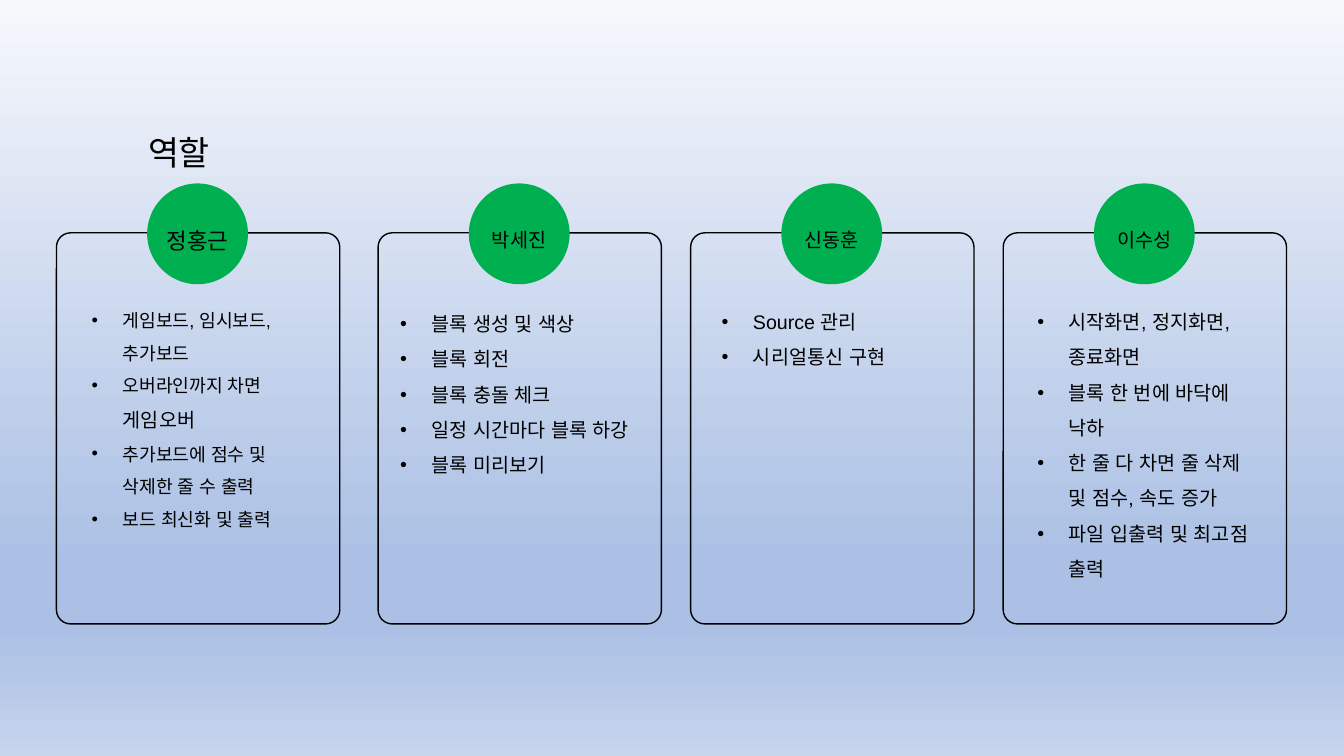
from lxml.etree import SubElement
from pptx import Presentation
from pptx.dml.color import RGBColor
from pptx.enum.shapes import MSO_SHAPE as Preset
from pptx.enum.text import MSO_ANCHOR as Anchor, MSO_AUTO_SIZE as AutoSize, PP_ALIGN as Align
from pptx.oxml.ns import qn
from pptx.util import Inches, Pt

BLACK = RGBColor(0x00, 0x00, 0x00)
GREEN = RGBColor(0x00, 0xB0, 0x50)
GRADIENT = [
    (0, RGBColor(0xF6, 0xF8, 0xFC)),
    (74, RGBColor(0xAB, 0xC0, 0xE4)),
    (83, RGBColor(0xAB, 0xC0, 0xE4)),
    (100, RGBColor(0xC7, 0xD5, 0xED)),
]
CARD_TOP, CARD_WIDTH, CARD_HEIGHT = 2.31, 2.81, 3.88
BADGE_SIZE, BADGE_TOP, BADGE_OFFSET = 1, 1.82, 0.9

ROLES = [
    dict(name="정홍근", name_size=16, left=0.56, text_box=(0.81, 2.91, 2.38, 2.45), size=13,
         line_sizes={"게임오버": 14},
         tasks=["게임보드, 임시보드, \n추가보드", "오버라인까지 차면 \n게임오버",
                "추가보드에 점수 및 \n삭제한 줄 수 출력", "보드 최신화 및 출력"]),
    dict(name="박세진", left=3.75, text_box=(3.87, 2.93, 2.69, 1.87),
         tasks=["블록 생성 및 색상", "블록 회전", "블록 충돌 체크",
                "일정 시간마다 블록 하강", "블록 미리보기"]),
    dict(name="신동훈", left=6.85, text_box=(7.06, 2.91, 2.38, 1.16),
         tasks=["Source 관리", "시리얼통신 구현"]),
    dict(name="이수성", left=9.95, text_box=(10.19, 2.91, 2.38, 2.93),
         tasks=["시작화면, 정지화면, \n종료화면", "블록 한 번에 바닥에 낙하",
                "한 줄 다 차면 줄 삭제 및 점수, 속도 증가", "파일 입출력 및 최고점 출력"]),
]


def write_text(frame, texts, size=14, align=Align.LEFT, bullet=False, line_sizes=None,
               font="Arial", color=BLACK):
    frame.word_wrap = True
    for index, text in enumerate(texts):
        paragraph = frame.add_paragraph() if index else frame.paragraphs[0]
        paragraph.alignment = align
        paragraph.line_spacing = 1.5
        if bullet:
            properties = paragraph._p.get_or_add_pPr()
            properties.set("marL", str(Inches(0.31)))
            properties.set("indent", str(Inches(-0.31)))
            SubElement(properties, qn("a:buFont")).set("typeface", "Arial")
            SubElement(properties, qn("a:buChar")).set("char", "•")
        for line_index, line in enumerate(text.split("\n")):
            if line_index:
                paragraph.add_line_break()
            run = paragraph.add_run()
            run.text = line
            run.font.size = Pt((line_sizes or {}).get(line, size))
            run.font.name = font
            run.font.color.rgb = color
            SubElement(run._r.get_or_add_rPr(), qn("a:ea")).set("typeface", font)


class RoleSlide:
    def __init__(self, presentation):
        self.slide = presentation.slides.add_slide(presentation.slide_layouts[6])

    def background(self, stops):
        fill = self.slide.background.fill
        fill.gradient()
        fill.gradient_angle = 270
        stop_list = next(self.slide._element.iter(qn("a:gsLst")))
        for old_stop in list(stop_list):
            stop_list.remove(old_stop)
        for position, color in stops:
            stop = SubElement(stop_list, qn("a:gs"))
            stop.set("pos", str(position * 1000))
            SubElement(stop, qn("a:srgbClr")).set("val", str(color))

    def shape(self, preset, *box):
        shape = self.slide.shapes.add_shape(preset, *map(Inches, box))
        shape.shadow.inherit = False
        return shape

    def card(self, left):
        card = self.shape(Preset.ROUNDED_RECTANGLE, left, CARD_TOP, CARD_WIDTH, CARD_HEIGHT)
        card.adjustments[0] = 0.05
        card.fill.background()
        card.line.color.rgb = BLACK
        card.line.width = Pt(1)

    def badge(self, left, name, size):
        badge = self.shape(Preset.OVAL, left, BADGE_TOP, BADGE_SIZE, BADGE_SIZE)
        badge.fill.solid()
        badge.fill.fore_color.rgb = GREEN
        badge.line.fill.background()
        frame = badge.text_frame
        frame.margin_left = frame.margin_top = frame.margin_right = frame.margin_bottom = 0
        frame.vertical_anchor = Anchor.MIDDLE
        write_text(frame, [name], size=size, align=Align.CENTER)

    def text(self, box, texts, **text_format):
        frame = self.slide.shapes.add_textbox(*map(Inches, box)).text_frame
        write_text(frame, texts, **text_format)
        frame.auto_size = AutoSize.SHAPE_TO_FIT_TEXT

    def role(self, name, left, text_box, tasks, name_size=14, **text_format):
        self.card(left)
        self.text(text_box, tasks, bullet=True, **text_format)
        self.badge(left + BADGE_OFFSET, name, name_size)


def main():
    presentation = Presentation()
    presentation.slide_width = Inches(13.33)
    presentation.slide_height = Inches(7.5)
    role_slide = RoleSlide(presentation)
    role_slide.background(GRADIENT)
    role_slide.text((1.37, 1.06, 3.65, 0.71), ["역할"], size=24)
    for role in ROLES:
        role_slide.role(**role)
    presentation.save("out.pptx")


if __name__ == "__main__":
    main()
